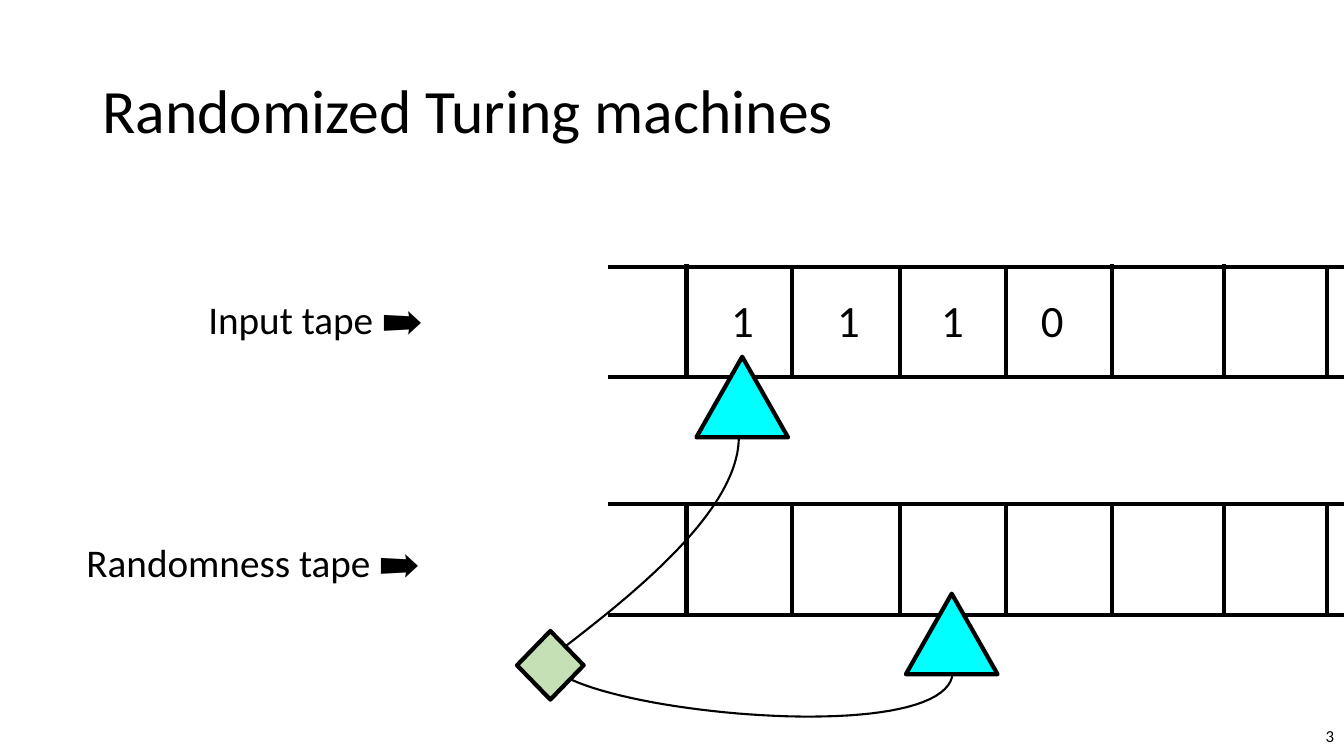
from lxml import etree
from pptx import Presentation
from pptx.dml.color import RGBColor
from pptx.enum import shapes, text
from pptx.oxml.ns import qn
from pptx.util import Cm, Pt

FONT = "Calibri"
BLACK = "000000"
CYAN = "00FFFF"
GREEN = "C5E0B4"
SLIDE_WIDTH = 33.87
TAPE_LEFT = 15.32
DIVIDERS = [17.3, 19.96, 22.68, 25.35, 28.02, 30.84, 33.45]
LIFTED = {17.3, 28.02, 30.84}
DIGITS = [("1", 17.98), ("1", 20.65), ("1", 23.27), ("0", 25.78)]


def color(value):
    return RGBColor.from_string(value)


def outline(shape, width):
    shape.line.color.rgb = color(BLACK)
    shape.line.width = Pt(width)


def add_text(slide, content, box, size, align=text.PP_ALIGN.LEFT,
             anchor=text.MSO_ANCHOR.TOP, spacing=1.0):
    shape = slide.shapes.add_textbox(*[Cm(length) for length in box])
    frame = shape.text_frame
    frame.text = content
    frame.word_wrap = True
    frame.vertical_anchor = anchor
    paragraph = frame.paragraphs[0]
    paragraph.alignment = align
    paragraph.line_spacing = spacing
    font = paragraph.runs[0].font
    font.name = FONT
    font.size = Pt(size)
    font.color.rgb = color(BLACK)


def add_line(slide, x1, y1, x2, y2):
    line = slide.shapes.add_connector(
        shapes.MSO_CONNECTOR.STRAIGHT, Cm(x1), Cm(y1), Cm(x2), Cm(y2))
    outline(line, 3)
    etree.SubElement(line._element.spPr, qn("a:effectLst"))


def add_tape(slide, top, bottom, lift):
    for x in DIVIDERS:
        raised = lift if x in LIFTED else 0
        add_line(slide, x, top - raised, x, bottom)
    for y in (top, bottom):
        add_line(slide, TAPE_LEFT, y, SLIDE_WIDTH, y)


def add_node(slide, kind, box, fill):
    shape = slide.shapes.add_shape(kind, *[Cm(length) for length in box])
    shape.shadow.inherit = False
    shape.fill.solid()
    shape.fill.fore_color.rgb = color(fill)
    outline(shape, 3)


def bezier(controls, t):
    weights = ((1 - t) ** 3, 3 * t * (1 - t) ** 2, 3 * t ** 2 * (1 - t), t ** 3)
    return tuple(Cm(sum(weight * point[axis] for weight, point in zip(weights, controls)))
                 for axis in (0, 1))


def add_curve(slide, controls, steps=40):
    points = [bezier(controls, step / steps) for step in range(steps + 1)]
    builder = slide.shapes.build_freeform(*points[0])
    builder.add_line_segments(points[1:], close=False)
    curve = builder.convert_to_shape()
    curve.shadow.inherit = False
    curve.fill.background()
    outline(curve, 1.5)


def main():
    presentation = Presentation()
    presentation.slide_width = Cm(SLIDE_WIDTH)
    presentation.slide_height = Cm(19.05)
    slide = presentation.slides.add_slide(presentation.slide_layouts[6])

    middle = text.MSO_ANCHOR.MIDDLE
    add_text(slide, "Randomized Turing machines", (2.33, 1.01, 29.21, 3.68), 44,
             anchor=middle, spacing=0.9)
    add_text(slide, "3", (26.25, 18.04, 7.62, 1.01), 12, text.PP_ALIGN.RIGHT, middle)
    add_text(slide, "Input tape ➡", (5, 7.32, 7.77, 1.45), 28)
    add_text(slide, "Randomness tape ➡", (1.93, 13.44, 10.92, 1.45), 28)

    add_tape(slide, 6.73, 9.5, 0.07)
    add_tape(slide, 12.7, 15.49, 0)
    for digit, left in DIGITS:
        add_text(slide, digit, (left, 7.24, 1.47, 1.63), 32, text.PP_ALIGN.CENTER)

    add_node(slide, shapes.MSO_SHAPE.DIAMOND, (13.03, 15.9, 1.68, 1.73), GREEN)
    for left, top in ((17.55, 8.99), (22.83, 14.96)):
        add_node(slide, shapes.MSO_SHAPE.ISOSCELES_TRIANGLE, (left, top, 2.31, 2.03), CYAN)
    add_curve(slide, [(24, 17.04), (23.65, 18.64), (16.54, 18.11), (14.38, 17.12)])
    add_curve(slide, [(18.62, 11), (18.64, 12.83), (16, 14.94), (14.22, 16.31)])

    presentation.save("out.pptx")


if __name__ == "__main__":
    main()
